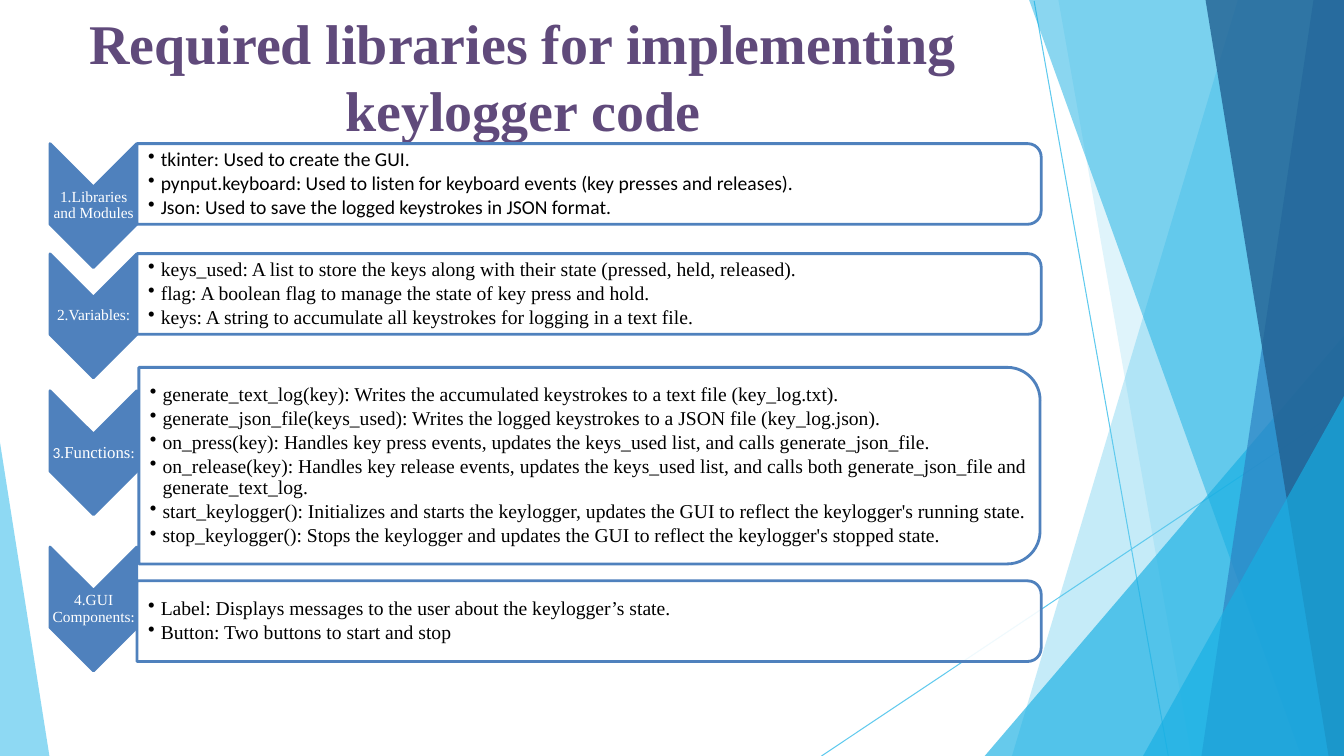
from lxml import etree
from pptx import Presentation
from pptx import util as u
from pptx.dml.color import RGBColor
from pptx.enum import shapes as sh, text as tx
from pptx.oxml import ns

HUES = {
    "sky": "5FCAEE", "cyan": "17AFE3", "blue": "2D83C3", "navy": "226192",
    "steel": "4F81BD", "plum": "604A7B", "white": "FFFFFF", "black": "000000",
}
ROMAN, SANS = "Times New Roman", "Calibri"
WIDE, HIGH = 960, 540


def put(frame, paras, size=14, font=ROMAN, hue="black", bold=None, align=None,
        anchor=tx.MSO_ANCHOR.MIDDLE, inset=(0, 0, 0, 0), lead=None, after=0, bullet=None):
    """Fill a frame; each paragraph is a list of (text, size, font) or a string."""
    frame.word_wrap = True
    frame.auto_size = tx.MSO_AUTO_SIZE.NONE
    frame.vertical_anchor = anchor
    (frame.margin_left, frame.margin_top,
     frame.margin_right, frame.margin_bottom) = map(u.Pt, inset)
    for i, runs in enumerate(paras):
        para = frame.add_paragraph() if i else frame.paragraphs[0]
        para.alignment, para.line_spacing = align, lead
        para.space_before, para.space_after = u.Pt(0), u.Pt(after)
        if bullet:
            para.level = 1
            props = para._p.get_or_add_pPr()
            props.set("marL", str(u.Pt(9)))
            props.set("indent", str(u.Pt(-9)))
            etree.SubElement(props, ns.qn("a:buChar")).set("char", bullet)
        for words, pts, face in [(runs, size, font)] if isinstance(runs, str) else runs:
            run = para.add_run()
            run.text = words
            run.font.size, run.font.name, run.font.bold = u.Pt(pts), face, bold
            run.font.color.rgb = RGBColor.from_string(HUES[hue])


class Deck:
    """Holds the style and the current slide."""

    def __init__(self):
        self.prs = Presentation()
        self.prs.slide_width, self.prs.slide_height = u.Pt(WIDE), u.Pt(HIGH)
        self.slide = self.prs.slides.add_slide(self.prs.slide_layouts[5])
        self.items = self.slide.shapes

    def paint(self, shape, hue, alpha=100, edge=None):
        shape.shadow.inherit = False
        shape.fill.solid()
        shape.fill.fore_color.rgb = RGBColor.from_string(HUES[hue])
        if alpha < 100:
            tint = shape.fill._xPr.find(".//" + ns.qn("a:srgbClr"))
            etree.SubElement(tint, ns.qn("a:alpha")).set("val", str(alpha * 1000))
        if edge:
            shape.line.color.rgb = RGBColor.from_string(HUES[edge])
            shape.line.width = u.Pt(2)
        else:
            shape.line.fill.background()

    def facet(self, points, hue, alpha):
        spots = [(u.Pt(x), u.Pt(y)) for x, y in points]
        pen = self.items.build_freeform(*spots[0], scale=1.0)
        pen.add_line_segments(spots[1:], close=True)
        self.paint(pen.convert_to_shape(), hue, alpha)

    def line(self, *ends):
        wire = self.items.add_connector(sh.MSO_CONNECTOR.STRAIGHT, *map(u.Pt, ends))
        wire.line.color.rgb = RGBColor.from_string(HUES["sky"])
        wire.line.width = u.Pt(0.75)
        etree.SubElement(wire._element.spPr, ns.qn("a:effectLst"))

    def turned(self, kind, cx, cy, wide, high, hue, alpha=100):
        """A shape turned a quarter; wide and high are as seen."""
        shape = self.items.add_shape(
            kind, *map(u.Pt, (cx - high / 2, cy - wide / 2, high, wide)))
        shape.rotation = 90
        self.paint(shape, hue, alpha, "steel")

    def text(self, left, mid, wide, high, paras, **style):
        box = self.items.add_textbox(*map(u.Pt, (left, mid - high / 2, wide, high)))
        put(box.text_frame, paras, **style)

    def title(self, words):
        head = self.items.title
        head.left, head.top, head.width, head.height = map(u.Pt, (25.2, 5.8, 696.2, 108.7))
        put(head.text_frame, [words], size=40, hue="plum", bold=True,
            align=tx.PP_ALIGN.CENTER, anchor=tx.MSO_ANCHOR.TOP)

    def step(self, label, notes, tip, mid, high, left=97.9, wide=645.8, font=ROMAN):
        """A chevron with its label, beside a panel of bullets."""
        self.turned(sh.MSO_SHAPE.CHEVRON, 66.7, tip, 62, 88.5, "steel")
        self.text(36, tip, 61.9, 26.6, [label], size=11, hue="white", lead=0.9, after=3.85,
                  align=tx.PP_ALIGN.CENTER, inset=(0.55,) * 4)
        self.turned(sh.MSO_SHAPE.ROUND_2_SAME_RECTANGLE, left + wide / 2, mid,
                    wide, high, "white", 90)
        self.text(left, mid, wide - 3, high - 6, notes, font=font, lead=0.9, after=2.1,
                  bullet="•", inset=(7.9, 0.7, 0.7, 0.7))


# Facets: points before the right edge is closed, hue, opacity
FACETS = [
    ([(884.2, 0), (722.9, HIGH)], "sky", 36),
    ([(756, 0), (851, HIGH)], "sky", 20),
    ([(WIDE, 239.8), (703.4, HIGH)], "cyan", 66),
    ([(735.1, 0), (929.5, HIGH)], "cyan", 50),
    ([(938.2, 0), (858.2, HIGH)], "blue", 70),
    ([(861.1, 0), (949, HIGH)], "navy", 80),
    ([(WIDE, 283), (816.5, HIGH)], "cyan", 66),
]

STEPS = [
    dict(label="1.Libraries and Modules", tip=146.9, mid=131.4, high=57.6, font=SANS, notes=[
        "tkinter: Used to create the GUI.",
        "pynput.keyboard: Used to listen for keyboard events (key presses and releases).",
        "Json: Used to save the logged keystrokes in JSON format."]),
    dict(label="2.Variables:", tip=225.6, mid=210, high=57.6, notes=[
        "keys_used: A list to store the keys along with their state (pressed, held, released).",
        "flag: A boolean flag to manage the state of key press and hold.",
        "keys: A string to accumulate all keystrokes for logging in a text file."]),
    dict(label=[("3.", 11, SANS), ("Functions", 12, ROMAN), (":", 11, SANS)],
         tip=323.4, mid=332.6, high=140.4, left=99.2, wide=643.7, notes=[
        "generate_text_log(key): Writes the accumulated keystrokes to a text file (key_log.txt).",
        "generate_json_file(keys_used): Writes the logged keystrokes to a JSON file (key_log.json).",
        "on_press(key): Handles key press events, updates the keys_used list, "
        "and calls generate_json_file.",
        "on_release(key): Handles key release events, updates the keys_used list, "
        "and calls both generate_json_file and generate_text_log.",
        "start_keylogger(): Initializes and starts the keylogger, "
        "updates the GUI to reflect the keylogger's running state.",
        "stop_keylogger(): Stops the keylogger and updates the GUI "
        "to reflect the keylogger's stopped state."]),
    dict(label=[("4.GUI Components", 11, ROMAN), (":", 11, SANS)],
         tip=435, mid=443.7, high=57.6, notes=[
        "Label: Displays messages to the user about the keylogger’s state.",
        "Button: Two buttons to start and stop"]),
]


def main():
    deck = Deck()
    # Backdrop
    deck.line(738.7, 0.7, 834.5, HIGH)
    deck.line(WIDE, 290.9, 586.8, HIGH)
    for (top, foot), hue, alpha in FACETS:
        deck.facet([(WIDE, top[1]), top, foot, (WIDE, HIGH)], hue, alpha)
    deck.facet([(0, 316.1), (0, HIGH), (35.3, HIGH)], "sky", 70)
    # Title and steps
    deck.title("Required libraries for implementing keylogger code")
    for step in STEPS:
        deck.step(**step)
    deck.prs.save("out.pptx")


if __name__ == "__main__":
    main()
